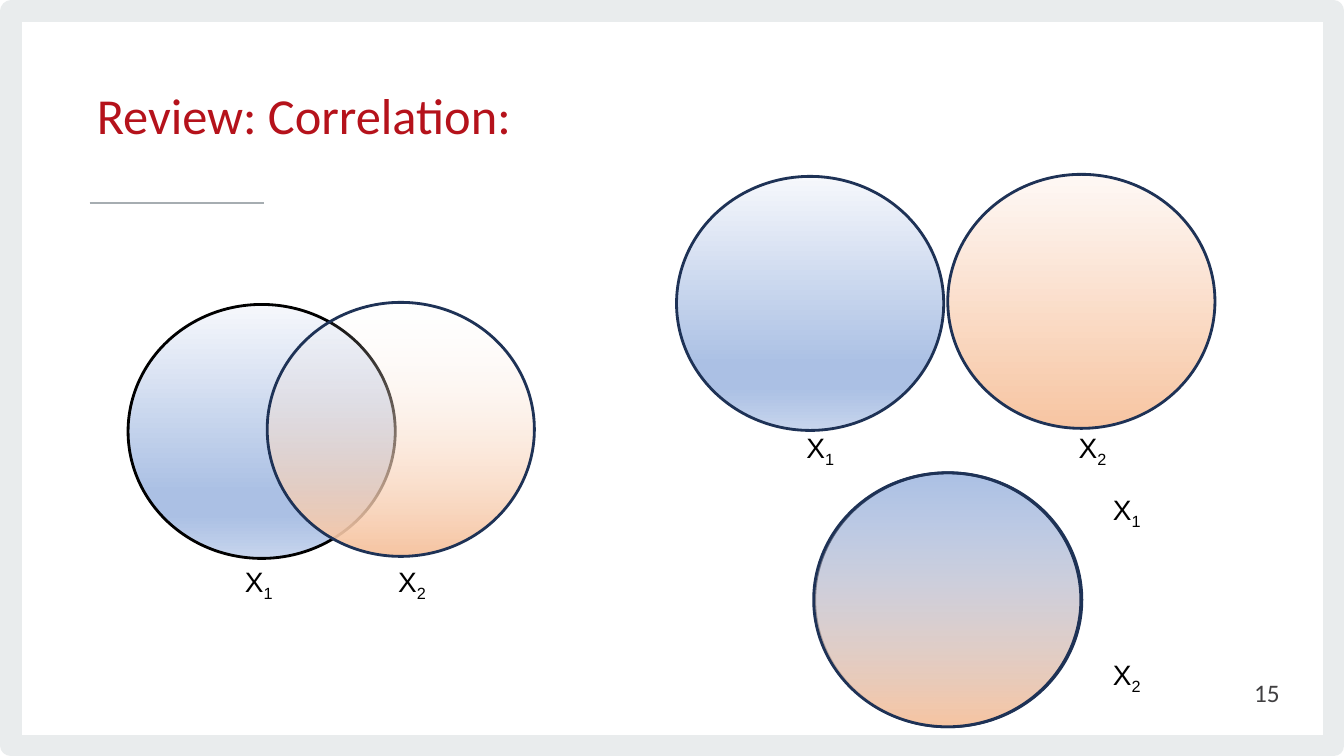
import dataclasses

import lxml.etree
import pptx
import pptx.dml.color
import pptx.enum.shapes
import pptx.enum.text
import pptx.oxml
import pptx.oxml.ns
import pptx.util

Inches = pptx.util.Inches
Pt = pptx.util.Pt
qn = pptx.oxml.ns.qn


@dataclasses.dataclass(frozen=True)
class Theme:
    frame: str = "E9ECED"
    rule: str = "A6ADB1"
    title: str = "B5121B"
    number: str = "414042"
    ink: str = "000000"
    navy: str = "1E3256"
    heading_font: str = "Calibri"
    label_font: str = "Arial"
    title_size: float = 36
    label_size: float = 20
    number_size: float = 18
    # Gradient stops from top to bottom: position %, colour, opacity %
    blue: tuple = ((0, "F6F8FC", 100), (74, "ABC0E4", 100), (83, "ABC0E4", 100), (100, "C7D5ED", 100))
    deep_blue: tuple = ((0, "ABC0E4", 100), (83, "ABC0E4", 100), (100, "C7D5ED", 100))
    peach: tuple = ((0, "FEF8F5", 100), (100, "F7C5A2", 100))
    clear_peach: tuple = ((0, "FEF8F5", 0), (100, "F7C5A2", 100))


THEME = Theme()
CIRCLE_W, CIRCLE_H = 2.65, 2.52


def rgb(color):
    return pptx.dml.color.RGBColor.from_string(color)


def set_line(sp, color, width):
    sp.line.color.rgb = rgb(color)
    sp.line.width = Pt(width)


def add_run(p, text, size, font, color):
    r = p.add_run()
    r.text = text
    r.font.size = Pt(size)
    r.font.name = font
    r.font.color.rgb = rgb(color)
    return r


def add_text_box(s, x, y, w, h):
    tf = s.shapes.add_textbox(Inches(x), Inches(y), Inches(w), Inches(h)).text_frame
    tf.word_wrap = True
    return tf


def fill_gradient(sp, stops):
    """Fill a shape from top to bottom, with an opacity for each stop."""
    sp.fill.gradient()
    grad = sp._element.spPr.find(qn("a:gradFill"))
    for child in list(grad):
        grad.remove(child)
    gs_list = lxml.etree.SubElement(grad, qn("a:gsLst"))
    for pos, color, opacity in stops:
        gs = lxml.etree.SubElement(gs_list, qn("a:gs"), pos=str(pos * 1000))
        clr = lxml.etree.SubElement(gs, qn("a:srgbClr"), val=color)
        if opacity < 100:
            lxml.etree.SubElement(clr, qn("a:alpha"), val=str(opacity * 1000))
    lxml.etree.SubElement(grad, qn("a:lin"), ang="5400000", scaled="0")


def add_circle(s, x, y, stops, outline=THEME.navy):
    sp = s.shapes.add_shape(pptx.enum.shapes.MSO_SHAPE.OVAL,
                            Inches(x), Inches(y), Inches(CIRCLE_W), Inches(CIRCLE_H))
    sp.shadow.inherit = False
    fill_gradient(sp, stops)
    set_line(sp, outline, 2)


def add_label(s, x, y, index):
    """Write X with a subscript index."""
    tf = add_text_box(s, x, y, 0.75, 0.44)
    tf.auto_size = pptx.enum.text.MSO_AUTO_SIZE.SHAPE_TO_FIT_TEXT
    for text in ("X", index):
        r = add_run(tf.paragraphs[0], text, THEME.label_size, THEME.label_font, THEME.ink)
    r._r.get_or_add_rPr().set("baseline", "-25000")


def add_frame(s, x, y, w, h):
    sp = s.shapes.add_shape(pptx.enum.shapes.MSO_SHAPE.RECTANGLE,
                            Inches(x), Inches(y), Inches(w), Inches(h))
    sp.shadow.inherit = False
    sp.fill.background()
    set_line(sp, THEME.frame, 15.11)
    lxml.etree.SubElement(sp.line._get_or_add_ln(), qn("a:round"))


def add_title(s, x, y, w, h):
    """Place the title and the short rule below it."""
    title = s.shapes.title
    title.left, title.top, title.width, title.height = map(Inches, (x, y, w, h))
    tf = title.text_frame
    tf.vertical_anchor = pptx.enum.text.MSO_ANCHOR.MIDDLE
    tf.auto_size = pptx.enum.text.MSO_AUTO_SIZE.NONE
    p = tf.paragraphs[0]
    p.alignment = pptx.enum.text.PP_ALIGN.LEFT
    p.line_spacing = Pt(34.7)
    p.space_before = Pt(7.5)
    add_run(p, "Review: Correlation:", THEME.title_size, THEME.heading_font, THEME.title)

    left, top = Inches(x + 0.03), Inches(y + h + 0.15)
    rule = s.shapes.add_connector(pptx.enum.shapes.MSO_CONNECTOR.STRAIGHT,
                                  left, top, left + Inches(1.73), top)
    set_line(rule, THEME.rule, 1.33)
    lxml.etree.SubElement(rule._element.spPr, qn("a:effectLst"))


def add_page_number(s, x, y, w, h):
    tf = add_text_box(s, x, y, w, h)
    tf.vertical_anchor = pptx.enum.text.MSO_ANCHOR.MIDDLE
    p = tf.paragraphs[0]
    p.alignment = pptx.enum.text.PP_ALIGN.RIGHT
    add_run(p, "15", THEME.number_size, THEME.heading_font, THEME.number)


def add_partial_overlap(s, x, y):
    add_circle(s, x, y + 0.02, THEME.blue, THEME.ink)
    add_circle(s, x + 1.38, y, THEME.clear_peach)
    add_label(s, x + 1.06, y + 2.55, "1")
    add_label(s, x + 2.58, y + 2.55, "2")


def add_no_overlap(s, x, y):
    add_circle(s, x, y + 0.02, THEME.blue)
    add_circle(s, x + 2.69, y, THEME.peach)
    add_label(s, x + 1.19, y + 2.49, "1")
    add_label(s, x + 3.89, y + 2.49, "2")


def add_full_overlap(s, x, y):
    add_circle(s, x + 0.01, y, THEME.deep_blue)
    add_circle(s, x, y, THEME.clear_peach)
    add_label(s, x + 2.87, y + 0.15, "1")
    add_label(s, x + 2.87, y + 1.78, "2")


def main():
    prs = pptx.Presentation()
    prs.slide_width, prs.slide_height = Inches(13.33), Inches(7.5)
    s = prs.slides.add_slide(prs.slide_layouts[5])
    add_frame(s, 0.11, 0.11, 13.12, 7.29)
    add_title(s, 0.86, 0.52, 8.79, 1.34)
    add_page_number(s, 9.79, 6.67, 3, 0.4)
    add_partial_overlap(s, 1.27, 3)
    add_no_overlap(s, 6.71, 1.73)
    add_full_overlap(s, 8.07, 4.69)
    prs.save("out.pptx")


if __name__ == "__main__":
    main()
